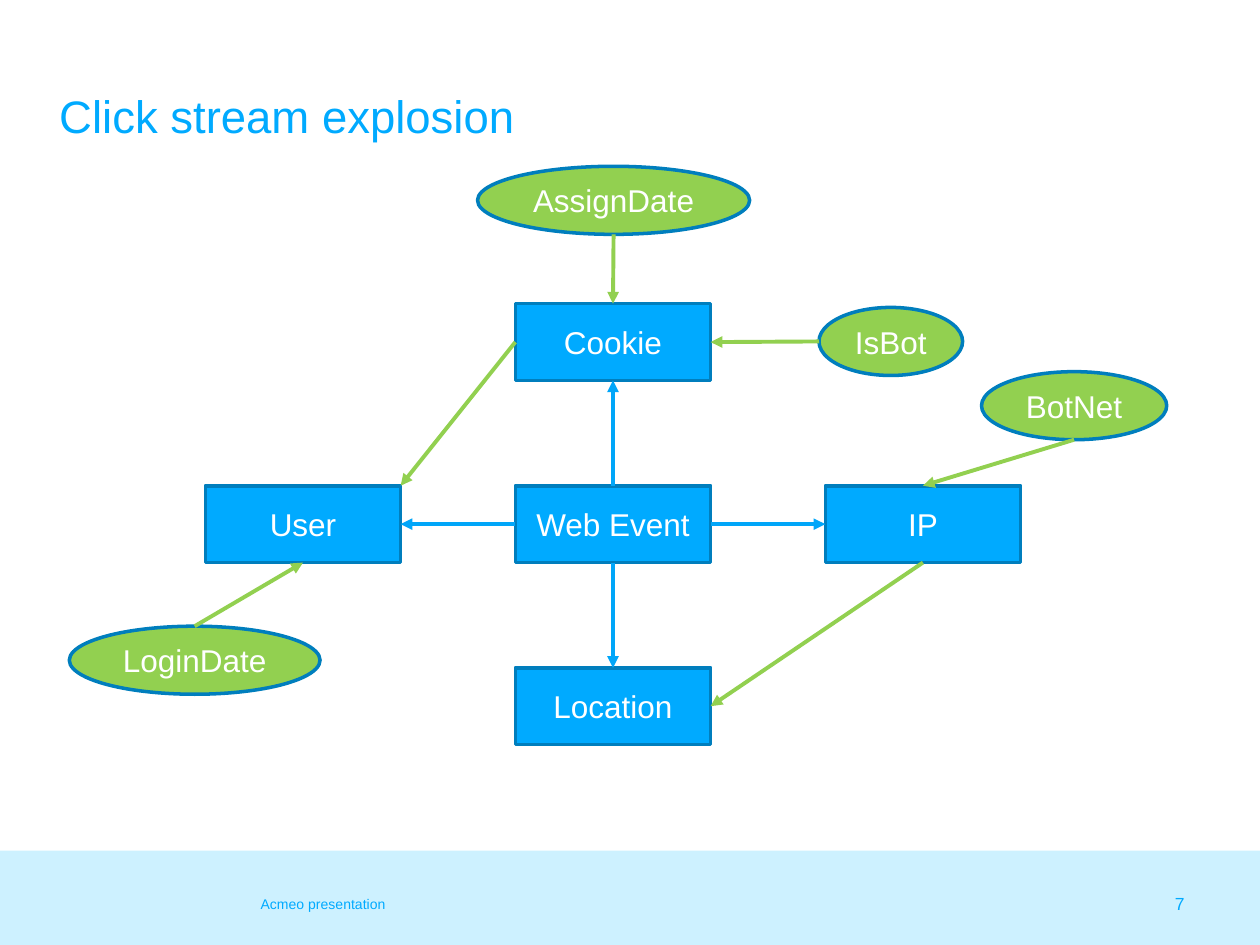
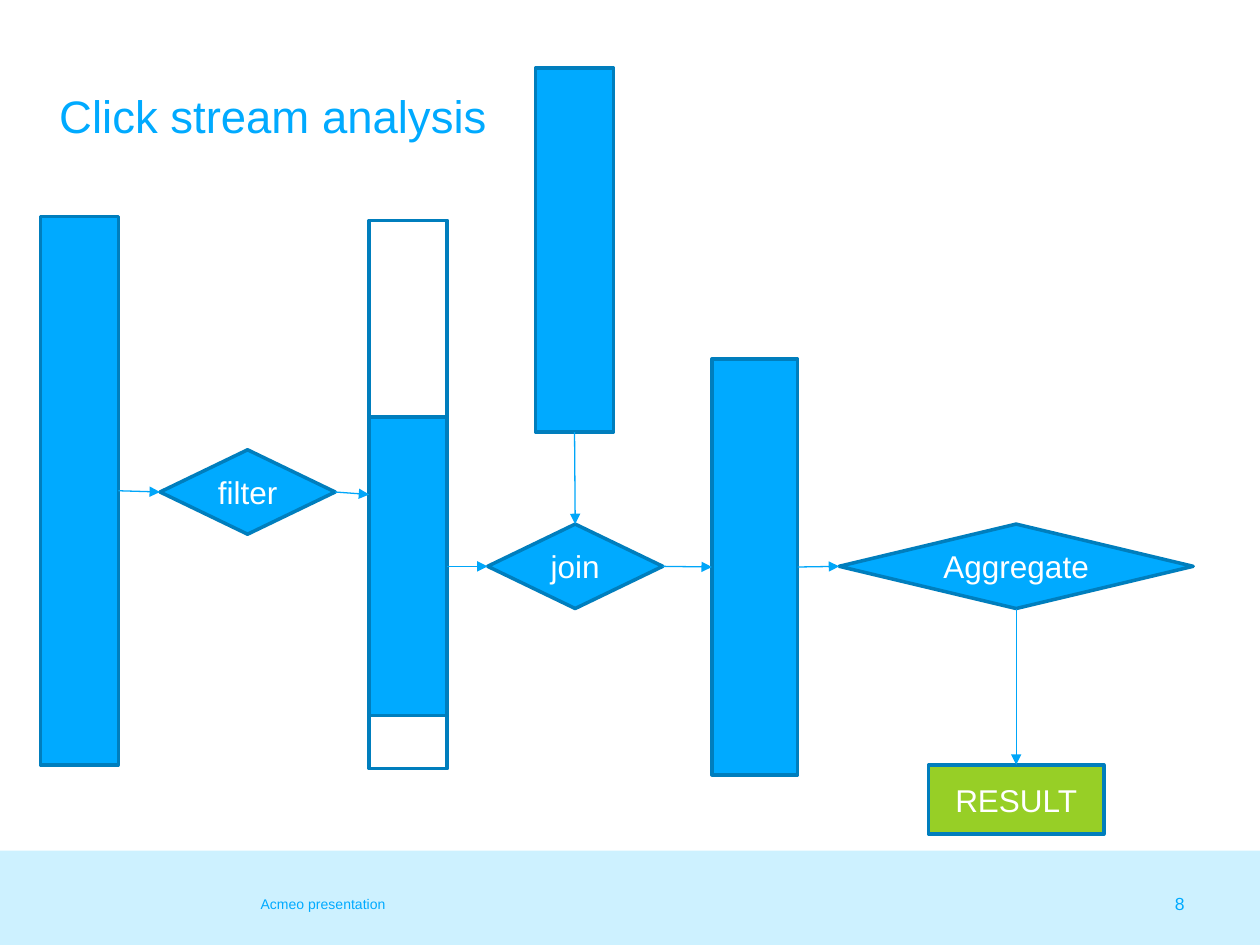
import pptx
import pptx.dml.color
import pptx.enum.shapes
import pptx.enum.text
import pptx.oxml
import pptx.oxml.ns
import pptx.util

SLIDE_WIDTH = pptx.util.Inches(10)
SLIDE_HEIGHT = pptx.util.Inches(7.5)
COLUMN = SLIDE_WIDTH / 100
ROW = SLIDE_HEIGHT / 75

BLUE, DARK_BLUE, ARROW_BLUE = "00AAFF", "007EBD", "00A6F9"
PALE_BLUE, GREEN, RESULT_GREEN, WHITE = "CDF1FF", "92D050", "97CF26", "FFFFFF"
FONT = "Arial"
FOOTER = "Acmeo presentation"

SHAPES = pptx.enum.shapes.MSO_SHAPE
ALIGN = pptx.enum.text.PP_ALIGN
MIDDLE = pptx.enum.text.MSO_ANCHOR.MIDDLE
NO_AUTOFIT = pptx.enum.text.MSO_AUTO_SIZE.NONE

TITLE_FRAME = {
    "vertical_anchor": MIDDLE, "auto_size": NO_AUTOFIT, "word_wrap": True,
    "margin_left": 0, "margin_top": 0, "margin_right": 0,
    "margin_bottom": pptx.util.Inches(0.05),
}
FOOTER_FRAME = {"vertical_anchor": MIDDLE, "word_wrap": True}
LABEL_FRAME = {"vertical_anchor": MIDDLE, "word_wrap": False}

ANCHORS = {
    "top": (0.5, 0), "bottom": (0.5, 1), "left": (0, 0.5),
    "right": (1, 0.5), "top right": (1, 0),
}


def rgb(hex_colour):
    return pptx.dml.color.RGBColor.from_string(hex_colour)


def apply_format(target, values):
    for name, value in values.items():
        setattr(target, name, value)


def cells(left, top, width, height):
    return [round(left * COLUMN), round(top * ROW),
            round(width * COLUMN), round(height * ROW)]


def write(shape, text, size, colour, align, frame_format):
    frame = shape.text_frame
    apply_format(frame, frame_format)
    paragraph = frame.paragraphs[0]
    paragraph.alignment = align
    run = paragraph.add_run()
    run.text = text
    apply_format(run.font, {"name": FONT, "size": pptx.util.Pt(size)})
    run.font.color.rgb = rgb(colour)


def add_node(slide, kind, place, fill=BLUE, label=None, outline=DARK_BLUE):
    node = slide.shapes.add_shape(kind, *cells(*place))
    node.shadow.inherit = False
    if fill:
        node.fill.solid()
        node.fill.fore_color.rgb = rgb(fill)
    else:
        node.fill.background()
    if outline:
        node.line.color.rgb = rgb(outline)
        node.line.width = pptx.util.Pt(2)
    else:
        node.line.fill.background()
    if label:
        write(node, label, 18, WHITE, ALIGN.CENTER, LABEL_FRAME)
    return node


def anchor_point(node, side):
    across, down = ANCHORS[side]
    return (round(node.left + across * node.width),
            round(node.top + down * node.height))


def add_arrow(slide, source, source_side, target, target_side, colour, weight):
    arrow = slide.shapes.add_connector(
        pptx.enum.shapes.MSO_CONNECTOR.STRAIGHT,
        *anchor_point(source, source_side), *anchor_point(target, target_side))
    arrow.line.color.rgb = rgb(colour)
    arrow.line.width = pptx.util.Pt(weight)
    properties = arrow._element.spPr
    outline = properties.find(pptx.oxml.ns.qn("a:ln"))
    namespace = pptx.oxml.ns.nsdecls("a")
    outline.append(pptx.oxml.parse_xml(f'<a:tailEnd {namespace} type="triangle"/>'))
    properties.append(pptx.oxml.parse_xml(f"<a:effectLst {namespace}/>"))


def add_footer_text(slide, place, text, size, align):
    box = slide.shapes.add_textbox(*cells(*place))
    write(box, text, size, BLUE, align, FOOTER_FRAME)


def start_slide(deck, heading, number):
    slide = deck.slides.add_slide(deck.slide_layouts[5])
    add_node(slide, SHAPES.RECTANGLE, (0, 67.5, 100, 7.5), PALE_BLUE, outline=None)
    title = slide.shapes.title
    left, top, width, height = cells(4.7, 4.7, 90.3, 9.4)
    apply_format(title, {"left": left, "top": top, "width": width, "height": height})
    write(title, heading, 26, BLUE, ALIGN.LEFT, TITLE_FRAME)
    add_footer_text(slide, (19.7, 70, 31.7, 3.5), FOOTER, 8, ALIGN.LEFT)
    add_footer_text(slide, (91.1, 70.8, 3.9, 1.8), number, 10, ALIGN.RIGHT)
    return slide


def build_explosion(deck):
    slide = start_slide(deck, "Click stream explosion", "7")
    entity_cells = {"Web Event": (1, 1), "Cookie": (1, 0), "User": (0, 1),
                    "Location": (1, 2), "IP": (2, 1)}
    attribute_places = {"IsBot": (65, 24.4, 11.4), "AssignDate": (37.9, 13.2, 21.6),
                        "BotNet": (77.9, 29.5, 14.7), "LoginDate": (5.5, 49.7, 19.9)}
    nodes = {}
    for name, (column, row) in entity_cells.items():
        place = (16.3 + 24.6 * column, 24.1 + 14.45 * row, 15.5, 6.1)
        nodes[name] = add_node(slide, SHAPES.RECTANGLE, place, BLUE, name)
    for name, (left, top, width) in attribute_places.items():
        nodes[name] = add_node(slide, SHAPES.OVAL, (left, top, width, 5.4), GREEN, name)

    event_links = [("left", "User", "right"), ("right", "IP", "left"),
                   ("bottom", "Location", "top"), ("top", "Cookie", "bottom")]
    for side, entity, entity_side in event_links:
        add_arrow(slide, nodes["Web Event"], side, nodes[entity], entity_side,
                  ARROW_BLUE, 2.25)
    derived_links = [("IsBot", "left", "Cookie", "right"),
                     ("AssignDate", "bottom", "Cookie", "top"),
                     ("Cookie", "left", "User", "top right"),
                     ("IP", "bottom", "Location", "right"),
                     ("BotNet", "bottom", "IP", "top"),
                     ("LoginDate", "top", "User", "bottom")]
    for source, side, target, target_side in derived_links:
        add_arrow(slide, nodes[source], side, nodes[target], target_side, GREEN, 2.25)


def build_analysis(deck):
    slide = start_slide(deck, "Click stream analysis", "8")
    bar_places = {"events": (3.2, 17.2, 6.2, 43.5, BLUE),
                  "all rows": (29.3, 17.5, 6.2, 43.5, None),
                  "kept rows": (29.3, 33.1, 6.2, 23.7, BLUE),
                  "lookup": (42.5, 5.4, 6.2, 28.9, BLUE),
                  "joined": (56.5, 28.5, 6.8, 33, BLUE)}
    step_places = {"filter": (12.7, 35.7, 13.9), "join": (38.7, 41.6, 13.9),
                   "Aggregate": (66.6, 41.6, 28.1)}
    nodes = {}
    for name, (*place, fill) in bar_places.items():
        nodes[name] = add_node(slide, SHAPES.RECTANGLE, place, fill)
    for name, (left, top, width) in step_places.items():
        nodes[name] = add_node(slide, SHAPES.FLOWCHART_DECISION,
                               (left, top, width, 6.7), BLUE, name)
    nodes["result"] = add_node(slide, SHAPES.RECTANGLE, (73.7, 60.7, 13.9, 5.5),
                               RESULT_GREEN, "RESULT")

    across = [("events", "filter"), ("filter", "all rows"), ("kept rows", "join"),
              ("join", "joined"), ("joined", "Aggregate")]
    down = [("lookup", "join"), ("Aggregate", "result")]
    for links, start, end in ((across, "right", "left"), (down, "bottom", "top")):
        for source, target in links:
            add_arrow(slide, nodes[source], start, nodes[target], end, ARROW_BLUE, 0.75)


def main():
    deck = pptx.Presentation()
    apply_format(deck, {"slide_width": SLIDE_WIDTH, "slide_height": SLIDE_HEIGHT})
    build_explosion(deck)
    build_analysis(deck)
    deck.save("out.pptx")


if __name__ == "__main__":
    main()
